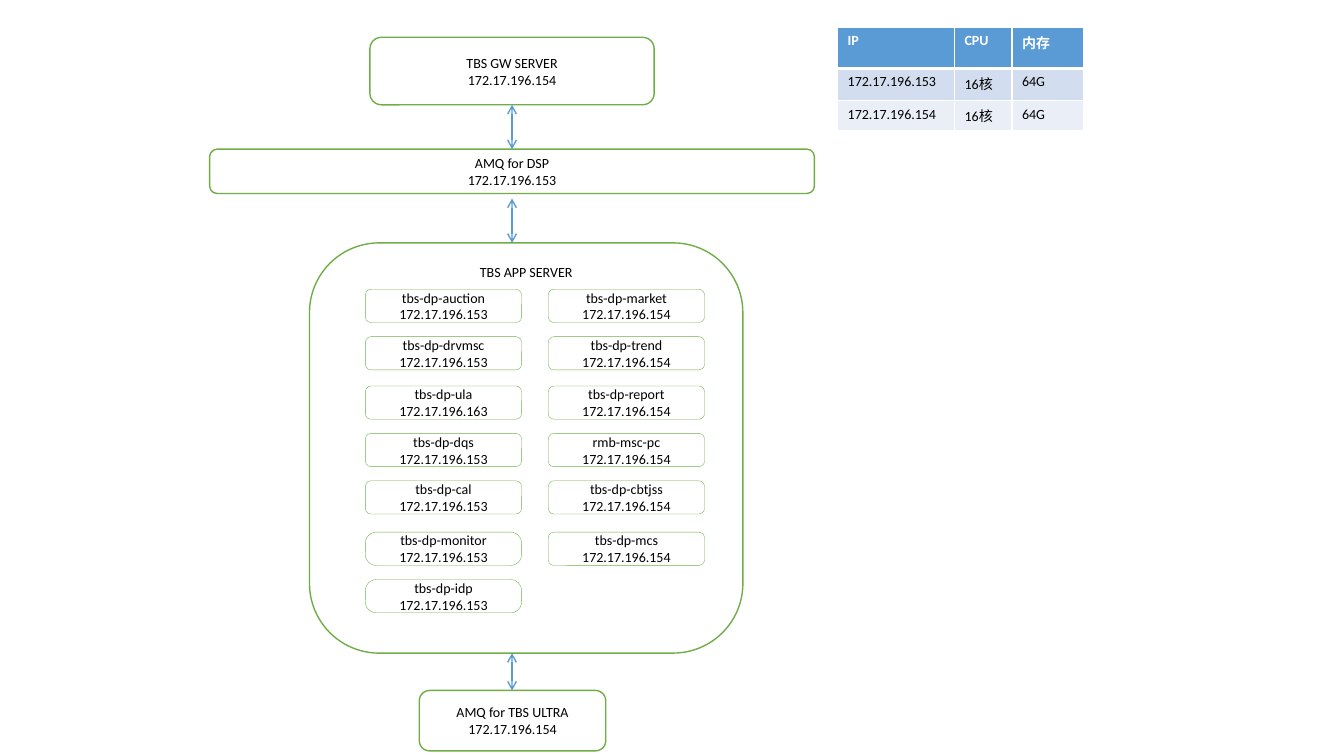
from dataclasses import dataclass

from lxml import etree
from pptx import Presentation
from pptx.dml.color import RGBColor
from pptx.enum.shapes import MSO_CONNECTOR, MSO_SHAPE
from pptx.enum.text import MSO_ANCHOR, PP_ALIGN
from pptx.oxml.ns import qn
from pptx.util import Inches, Pt

ROUND = MSO_SHAPE.ROUNDED_RECTANGLE
STRAIGHT = MSO_CONNECTOR.STRAIGHT
TOP, MIDDLE = MSO_ANCHOR.TOP, MSO_ANCHOR.MIDDLE
CENTER = PP_ALIGN.CENTER

WIDTH, HEIGHT = Inches(13.33), Inches(7.5)
COLS, ROWS = 160, 90
WHITE, BLACK, GREEN, BLUE = "FFFFFF", "000000", "70AD47", "5B9BD5"
BANDS = [BLUE, "D2DEEF", "EAEFF7"]
NET = "172.17.196."


@dataclass
class Box:
    left: float
    top: float
    width: float
    height: float
    lines: list[str]
    line: float = 1
    bend: float = 0.17
    anchor: MSO_ANCHOR = MIDDLE


@dataclass
class Link:
    left: float
    top: float
    bottom: float


@dataclass
class Grid:
    left: float
    top: float
    widths: list[float]
    heights: list[float]
    cells: list[list[str]]


def across(cols: float) -> int:
    return round(cols * WIDTH / COLS)


def down(rows: float) -> int:
    return round(rows * HEIGHT / ROWS)


def tint(code: str) -> RGBColor:
    return RGBColor.from_string(code)


def apply(target, values: dict) -> None:
    for name, value in values.items():
        setattr(target, name, value)


def style(part, code: str, bold: bool = False) -> None:
    apply(part.font, {"name": "Calibri", "size": Pt(10), "bold": bold})
    part.font.color.rgb = tint(code)


def draw_box(slide, box: Box) -> None:
    shape = slide.shapes.add_shape(
        ROUND, across(box.left), down(box.top), across(box.width), down(box.height))
    shape.shadow.inherit = False
    shape.adjustments[0] = box.bend
    shape.fill.solid()
    shape.fill.fore_color.rgb = tint(WHITE)
    shape.line.color.rgb = tint(GREEN)
    shape.line.width = Pt(box.line)
    frame = shape.text_frame
    apply(frame, {"word_wrap": True, "vertical_anchor": box.anchor,
                  "margin_top": 0, "margin_bottom": 0})
    frame.text = "\n".join(box.lines)
    for para in frame.paragraphs:
        para.alignment = CENTER
        style(para, BLACK)


def draw_link(slide, link: Link) -> None:
    wire = slide.shapes.add_connector(
        STRAIGHT, across(link.left), down(link.top), across(link.left), down(link.bottom))
    wire.line.color.rgb = tint(BLUE)
    wire.line.width = Pt(1)
    props = wire.line._get_or_add_ln()
    for end in ("a:headEnd", "a:tailEnd"):
        etree.SubElement(props, qn(end), type="arrow")
    etree.SubElement(wire._element.spPr, qn("a:effectLst"))


def edge(cell, side: str, points: float) -> None:
    line = etree.SubElement(cell._tc.get_or_add_tcPr(), qn(side), w=str(Pt(points)))
    fill = etree.SubElement(line, qn("a:solidFill"))
    etree.SubElement(fill, qn("a:srgbClr"), val=WHITE)


def draw_grid(slide, grid: Grid) -> None:
    table = slide.shapes.add_table(
        len(grid.heights), len(grid.widths), across(grid.left), down(grid.top),
        across(sum(grid.widths)), down(sum(grid.heights))).table
    for col, width in zip(table.columns, grid.widths):
        col.width = across(width)
    for row, height in zip(table.rows, grid.heights):
        row.height = down(height)
    for r, words in enumerate(grid.cells):
        head = r == 0
        for c, word in enumerate(words):
            cell = table.cell(r, c)
            cell.text = word
            style(cell.text_frame.paragraphs[0], WHITE if head else BLACK, head)
            edges = {"a:lnL": 1, "a:lnR": 1, "a:lnT": 3 if r == 1 else 1,
                     "a:lnB": 3 if head else 1}
            for side, points in edges.items():
                edge(cell, side, points)
            cell.fill.solid()
            cell.fill.fore_color.rgb = tint(BANDS[r])


MID = 60.96
SERVERS = [
    Box(36.84, 28.92, 51.6, 48.84, ["TBS APP SERVER"], anchor=TOP),
    Box(44.04, 4.44, 33.84, 8.04, ["TBS GW SERVER", NET + "154"]),
    Box(24.96, 17.76, 72, 5.28, ["AMQ for DSP", NET + "153"]),
    Box(49.92, 82.2, 22.2, 7.2, ["AMQ for TBS ULTRA", NET + "154"]),
]
LINKS = [Link(MID, 12.48, 17.76), Link(MID, 23.64, 28.92), Link(MID, 77.76, 82.2)]
TOPS = [34.44, 40.08, 45.96, 51.6, 57.24, 63.36, 69]
LEFT = [("tbs-dp-auction", "153"), ("tbs-dp-drvmsc", "153"), ("tbs-dp-ula", "163"),
        ("tbs-dp-dqs", "153"), ("tbs-dp-cal", "153"), ("tbs-dp-monitor", "153"),
        ("tbs-dp-idp", "153")]
RIGHT = [(name, "154") for name in (
    "tbs-dp-market", "tbs-dp-trend", "tbs-dp-report", "rmb-msc-pc",
    "tbs-dp-cbtjss", "tbs-dp-mcs")]
ROUNDER = ("tbs-dp-monitor", "tbs-dp-idp")
HOSTS = Grid(99.72, 3.24, [13.92, 6.84, 8.52], [4.92, 3.84, 3.48], [
    ["IP", "CPU", "内存"],
    [NET + "153", "16核", "64G"],
    [NET + "154", "16核", "64G"],
])


def main() -> None:
    deck = Presentation()
    apply(deck, {"slide_width": WIDTH, "slide_height": HEIGHT})
    slide = deck.slides.add_slide(deck.slide_layouts[6])
    for box in SERVERS:
        draw_box(slide, box)
    for left, apps in ((43.5, LEFT), (65.28, RIGHT)):
        for top, (name, host) in zip(TOPS, apps):
            bend = 0.33 if name in ROUNDER else 0.17
            draw_box(slide, Box(left, top, 18.6, 3.96, [name, NET + host], 0.25, bend))
    for link in LINKS:
        draw_link(slide, link)
    draw_grid(slide, HOSTS)
    deck.save("out.pptx")


if __name__ == "__main__":
    main()
